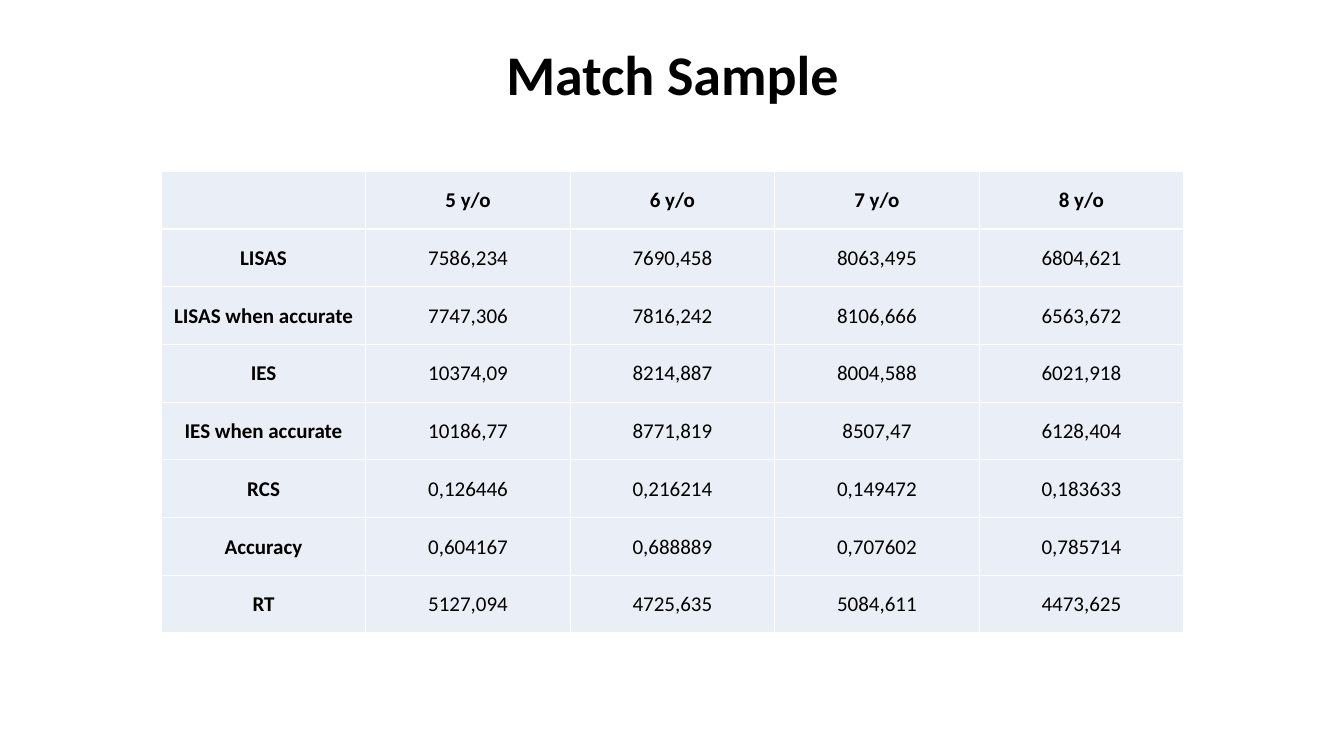
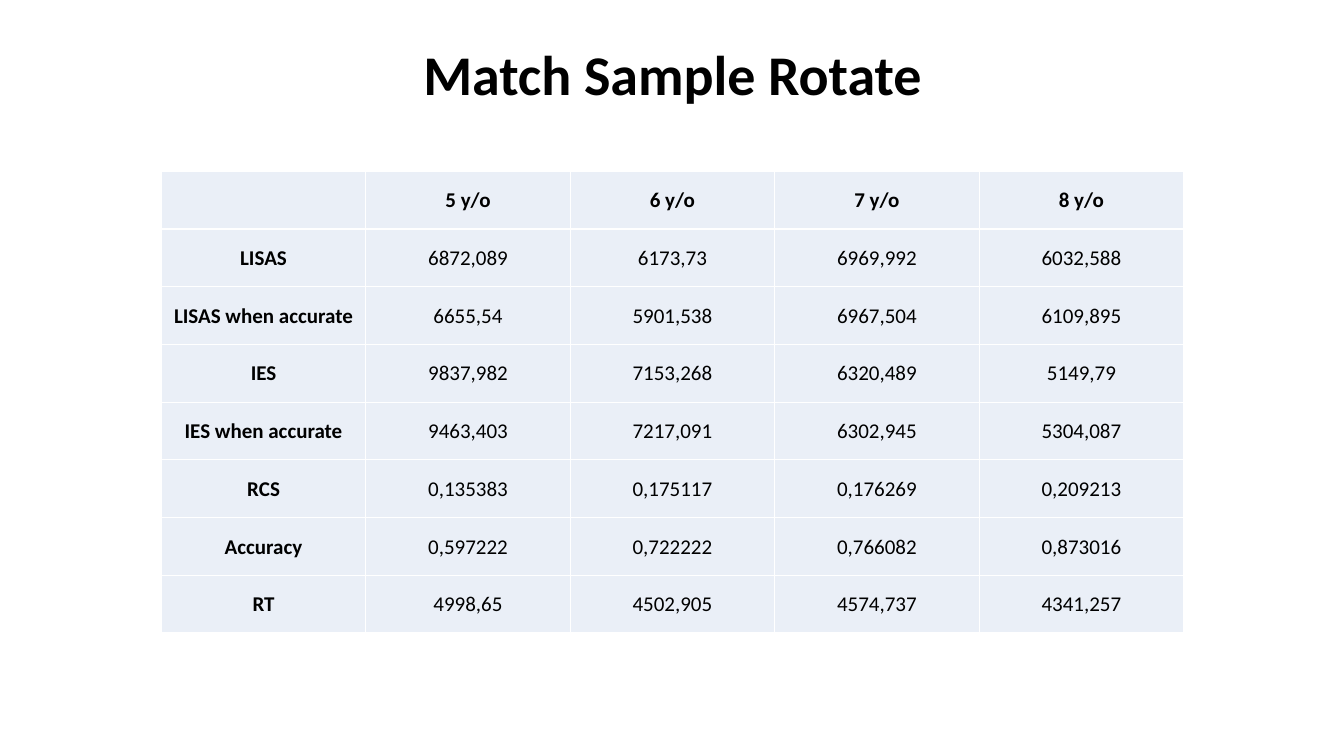
"""Build two slides of response scores by age group, one table per task."""
from lxml.etree import SubElement
from pptx import Presentation
from pptx.dml.color import RGBColor
from pptx.enum.text import MSO_ANCHOR as Anchor, PP_ALIGN as Align
from pptx.oxml.ns import qn
from pptx.util import Inches, Pt

BLACK = RGBColor(0x00, 0x00, 0x00)
WHITE = RGBColor(0xFF, 0xFF, 0xFF)
PALE_BLUE = RGBColor(0xEA, 0xEF, 0xF7)

TITLE_FONT = {"name": "Calibri", "size": Pt(40), "bold": True}
CELL_FONT = {"name": "Calibri", "size": Pt(15)}
CELL_FORMAT = {
    "vertical_anchor": Anchor.MIDDLE,
    "margin_left": Inches(0.01),
    "margin_right": Inches(0.01),
    "margin_top": Inches(0.01),
    "margin_bottom": 0,
}
TITLE_BOX = {"left": Inches(0.92), "top": Inches(0.4), "width": Inches(11.5), "height": Inches(0.74)}
TABLE_BOX = [Inches(length) for length in (1.6, 1.7, 10.14, 4.58)]

AGES = ["", "5 y/o", "6 y/o", "7 y/o", "8 y/o"]
MEASURES = ["LISAS", "LISAS when accurate", "IES", "IES when accurate", "RCS", "Accuracy", "RT"]
SCORES = {
    "Match Sample": [
        ["7586,234", "7690,458", "8063,495", "6804,621"],
        ["7747,306", "7816,242", "8106,666", "6563,672"],
        ["10374,09", "8214,887", "8004,588", "6021,918"],
        ["10186,77", "8771,819", "8507,47", "6128,404"],
        ["0,126446", "0,216214", "0,149472", "0,183633"],
        ["0,604167", "0,688889", "0,707602", "0,785714"],
        ["5127,094", "4725,635", "5084,611", "4473,625"],
    ],
    "Match Sample Rotate": [
        ["6872,089", "6173,73", "6969,992", "6032,588"],
        ["6655,54", "5901,538", "6967,504", "6109,895"],
        ["9837,982", "7153,268", "6320,489", "5149,79"],
        ["9463,403", "7217,091", "6302,945", "5304,087"],
        ["0,135383", "0,175117", "0,176269", "0,209213"],
        ["0,597222", "0,722222", "0,766082", "0,873016"],
        ["4998,65", "4502,905", "4574,737", "4341,257"],
    ],
}


def apply_format(target, values):
    for name, value in values.items():
        setattr(target, name, value)


def add_borders(cell):
    properties = cell._tc.get_or_add_tcPr()
    for side in ("a:lnL", "a:lnR", "a:lnT", "a:lnB"):
        line = SubElement(properties, qn(side), w=str(Pt(1)))
        SubElement(SubElement(line, qn("a:solidFill")), qn("a:srgbClr"), val=str(WHITE))


presentation = Presentation()
presentation.slide_width = Inches(13.33)
presentation.slide_height = Inches(7.5)
title_only = presentation.slide_layouts[5]

for task, scores in SCORES.items():
    slide = presentation.slides.add_slide(title_only)
    title = slide.shapes.title
    apply_format(title, TITLE_BOX)
    title.text_frame.text = task
    title.text_frame.vertical_anchor = Anchor.MIDDLE
    paragraph = title.text_frame.paragraphs[0]
    apply_format(paragraph, {"alignment": Align.CENTER, "line_spacing": 0.9})
    apply_format(paragraph.runs[0].font, TITLE_FONT)
    paragraph.runs[0].font.color.rgb = BLACK

    rows = [AGES] + [[measure, *values] for measure, values in zip(MEASURES, scores)]
    table = slide.shapes.add_table(len(rows), len(AGES), *TABLE_BOX).table
    apply_format(table, {"first_row": False, "horz_banding": False})
    for row_index, row in enumerate(rows):
        for column_index, text in enumerate(row):
            cell = table.cell(row_index, column_index)
            add_borders(cell)
            cell.fill.solid()
            cell.fill.fore_color.rgb = PALE_BLUE
            apply_format(cell, CELL_FORMAT)
            cell.text = text
            paragraph = cell.text_frame.paragraphs[0]
            paragraph.alignment = Align.CENTER
            for run in paragraph.runs:
                apply_format(run.font, CELL_FONT)
                run.font.bold = row_index == 0 or column_index == 0
                run.font.color.rgb = BLACK

presentation.save("out.pptx")
